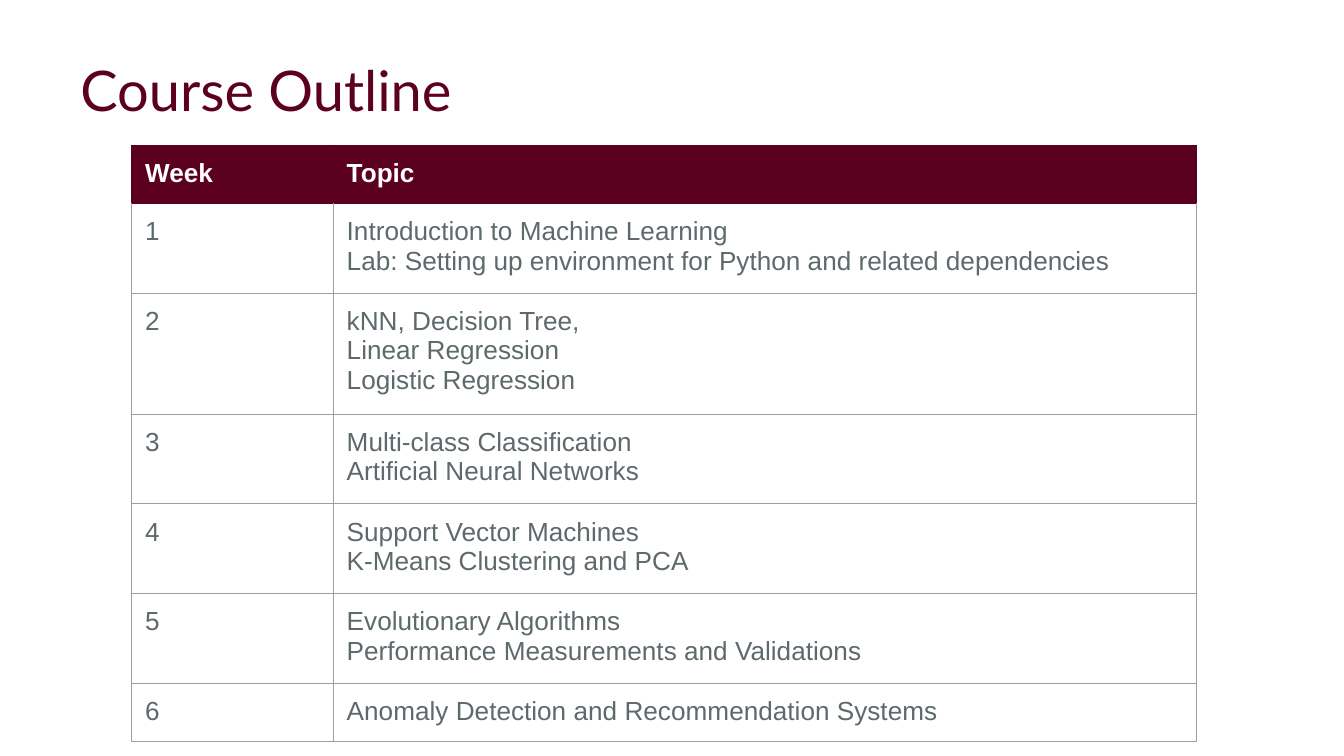
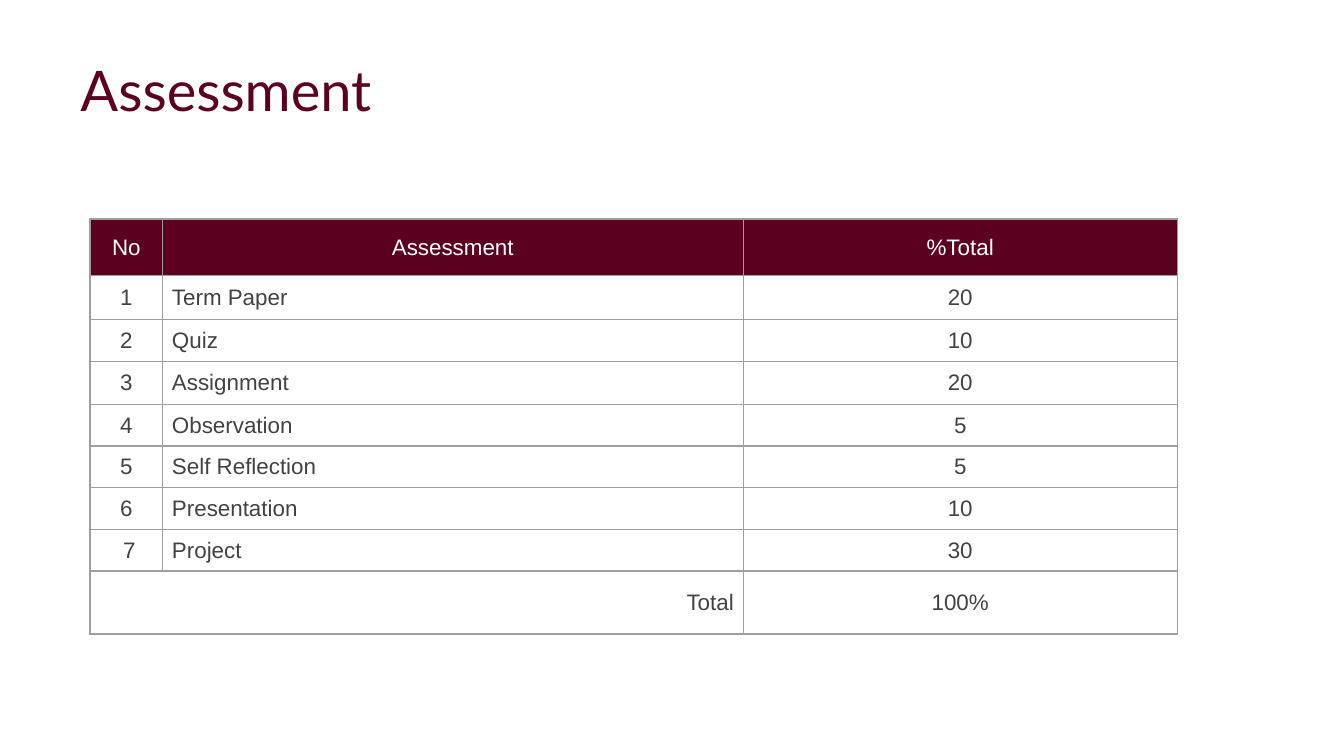
from dataclasses import dataclass
from lxml import etree
from pptx import Presentation
from pptx.dml.color import RGBColor
from pptx.enum.text import MSO_ANCHOR, PP_ALIGN
from pptx.oxml.ns import qn
from pptx.slide import Slide
from pptx.table import _Cell
from pptx.text.text import TextFrame
from pptx.util import Inches, Pt

LEFT, MID, RIGHT = PP_ALIGN.LEFT, PP_ALIGN.CENTER, PP_ALIGN.RIGHT
TOP, CENTRE = MSO_ANCHOR.TOP, MSO_ANCHOR.MIDDLE


@dataclass(frozen=True)
class Theme:
    wine: str = "5C001F"
    white: str = "FFFFFF"
    slate: str = "5E696C"
    dark: str = "424242"
    rule: str = "9E9E9E"
    head: str = "Lato"
    body: str = "Arial"
    big: float = 30
    text: float = 14
    small: float = 12
    line: float = 0.75


THEME = Theme()


@dataclass(frozen=True)
class Grid:
    spot: tuple[float, float]
    cols: tuple[float, ...]
    highs: tuple[float, ...]
    rows: tuple[tuple[str, ...], ...]
    aligns: tuple[PP_ALIGN, ...]
    pad: tuple[float, float]
    anchor: MSO_ANCHOR
    size: float
    ink: str
    edge: str
    bold: bool = False
    total: bool = False


def write(frame: TextFrame, text: str, *, font: str, size: float, ink: str,
          bold: bool = False, align: PP_ALIGN = LEFT) -> None:
    for i, line in enumerate(text.split("\n")):
        para = frame.paragraphs[0] if i == 0 else frame.add_paragraph()
        para.alignment = align
        run = para.add_run()
        run.text = line
        run.font.name = font
        run.font.size = Pt(size)
        run.font.bold = bold
        run.font.color.rgb = RGBColor.from_string(ink)


def add_title(slide: Slide, text: str) -> None:
    box = slide.shapes.add_textbox(
        Inches(0.5), Inches(0.33), Inches(6.44), Inches(0.66))
    frame = box.text_frame
    frame.word_wrap = True
    frame.vertical_anchor = CENTRE
    frame.margin_left = frame.margin_right = Inches(0.1)
    frame.margin_top = frame.margin_bottom = Inches(0.1)
    write(frame, text, font=THEME.head, size=THEME.big, ink=THEME.wine)


def set_edges(cell: _Cell, tints: dict[str, str]) -> None:
    props = cell._tc.get_or_add_tcPr()
    for side, tint in tints.items():
        line = etree.SubElement(props, qn(f"a:ln{side}"), w=str(Pt(THEME.line)))
        fill = etree.SubElement(line, qn("a:solidFill"))
        etree.SubElement(fill, qn("a:srgbClr"), val=tint)


def add_grid(slide: Slide, grid: Grid) -> None:
    left, top = grid.spot
    table = slide.shapes.add_table(
        len(grid.rows), len(grid.cols), Inches(left), Inches(top),
        Inches(sum(grid.cols)), Inches(sum(grid.highs))).table
    table.first_row = table.horz_banding = False
    for col, wide in zip(table.columns, grid.cols):
        col.width = Inches(wide)
    for row, high in zip(table.rows, grid.highs):
        row.height = Inches(high)
    last = len(grid.rows) - 1
    for r, row in enumerate(grid.rows):
        head = r == 0
        for c, text in enumerate(row):
            cell = table.cell(r, c)
            cell.margin_left = cell.margin_right = Inches(grid.pad[0])
            cell.margin_top = cell.margin_bottom = Inches(grid.pad[1])
            cell.vertical_anchor = grid.anchor
            tints = dict.fromkeys("LRTB", grid.edge if head else THEME.rule)
            if r == 1:
                tints["T"] = grid.edge
            set_edges(cell, tints)
            if head:
                cell.fill.solid()
                cell.fill.fore_color.rgb = RGBColor.from_string(THEME.wine)
            else:
                cell.fill.background()
            align = grid.aligns[c]
            if grid.anchor == CENTRE and head:
                align = MID
            if grid.total and r == last and c == 0:
                align = RIGHT
            if text:
                write(cell.text_frame, text, font=THEME.body, size=grid.size,
                      ink=THEME.white if head else grid.ink,
                      bold=head and grid.bold, align=align)
    if grid.total:
        table.cell(last, 0).merge(table.cell(last, 1))


WEEKS = (
    "Introduction to Machine Learning\n"
    "Lab: Setting up environment for Python and related dependencies",
    "kNN, Decision Tree,\nLinear Regression\nLogistic Regression",
    "Multi-class Classification\nArtificial Neural Networks",
    "Support Vector Machines\nK-Means Clustering and PCA",
    "Evolutionary Algorithms\nPerformance Measurements and Validations",
    "Anomaly Detection and Recommendation Systems",
)

MARKS = (
    ("1", "Term Paper", "20"),
    ("2", "Quiz", "10"),
    ("3", "Assignment", "20"),
    ("4", "Observation", "5"),
    ("5", "Self Reflection", "5"),
    ("6", "Presentation", "10"),
    (" 7", "Project", "30"),
)

OUTLINE = Grid(
    spot=(0.98, 1.08), cols=(1.5, 6.42),
    highs=(0.42,) * (len(WEEKS) + 1),
    rows=(("Week", "Topic"),
          *((str(n), topic) for n, topic in enumerate(WEEKS, 1))),
    aligns=(LEFT, LEFT), pad=(0.1, 0.1), anchor=TOP,
    size=THEME.text, ink=THEME.slate, edge=THEME.wine, bold=True)

SCORES = Grid(
    spot=(0.67, 1.63), cols=(0.54, 4.32, 3.23),
    highs=(0.42, 0.33, 0.31, 0.32, 0.31, 0.31, 0.31, 0.31, 0.47),
    rows=(("No", "Assessment", "%Total"), *MARKS, ("Total", "", "100%")),
    aligns=(MID, LEFT, MID), pad=(0.07, 0), anchor=CENTRE,
    size=THEME.small, ink=THEME.dark, edge=THEME.rule, total=True)


def main() -> None:
    deck = Presentation()
    deck.slide_width = Inches(10)
    deck.slide_height = deck.slide_width * 9 // 16
    for title, grid in (("Course Outline", OUTLINE), ("Assessment", SCORES)):
        slide = deck.slides.add_slide(deck.slide_layouts[6])
        slide.background.fill.solid()
        slide.background.fill.fore_color.rgb = RGBColor.from_string(THEME.white)
        add_title(slide, title)
        add_grid(slide, grid)
    deck.save("out.pptx")


if __name__ == "__main__":
    main()
